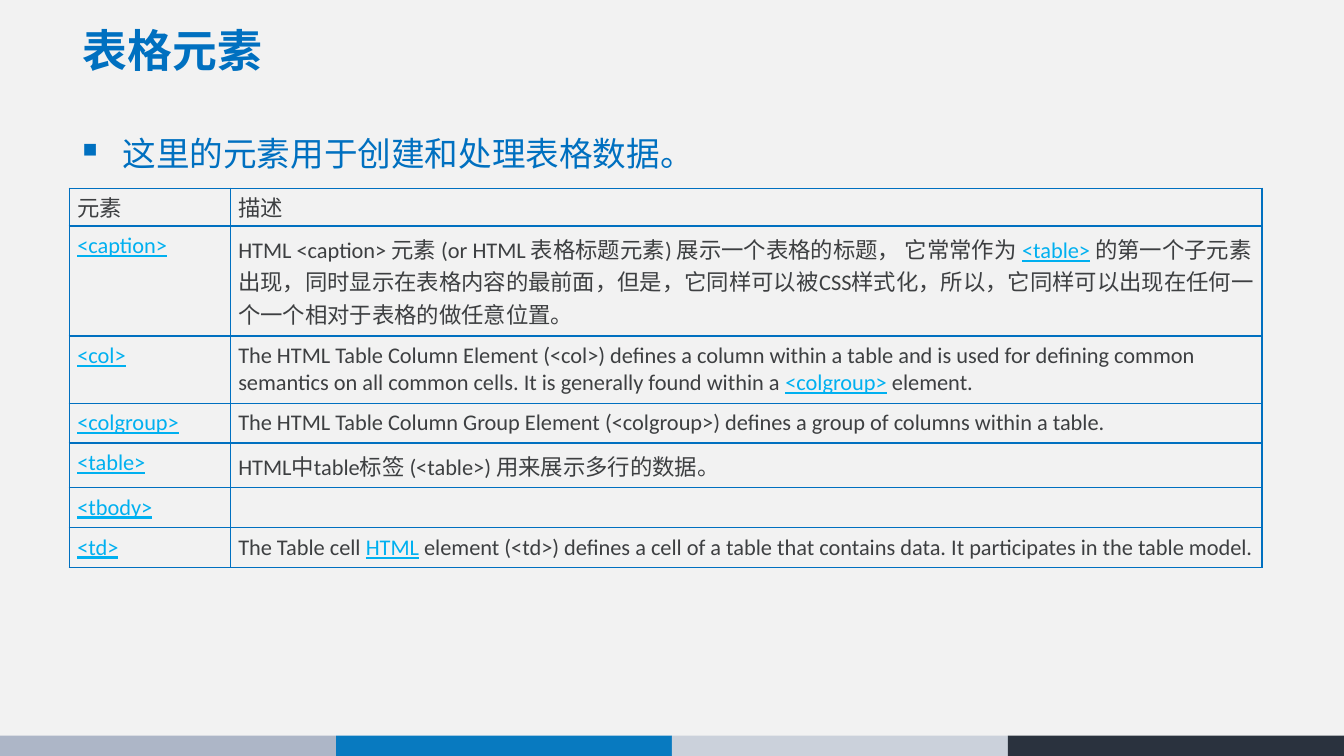
from lxml import etree
from pptx import Presentation
from pptx.dml.color import RGBColor
from pptx.enum.shapes import MSO_SHAPE
from pptx.enum.text import MSO_ANCHOR, PP_ALIGN
from pptx.oxml.ns import qn
from pptx.util import Pt

RECTANGLE = MSO_SHAPE.RECTANGLE
TOP, MIDDLE = MSO_ANCHOR.TOP, MSO_ANCHOR.MIDDLE
JUSTIFY = PP_ALIGN.JUSTIFY

SLIDE_W, SLIDE_H = 960, 540
CJK_FONT, TABLE_FONT = "Noto Sans CJK SC", "Calibri"
BLUE, LINK, INK, PAPER = "0070C0", "00B0F0", "3D3F41", "F2F2F2"
FOOTER_COLOURS = ["ADB6C7", "087AC0", "CBD1DB", "2A323E"]

COLUMN_WIDTHS = [115, 737]
ROW_HEIGHTS = [27, 78.5, 48, 28.5, 32, 28.5, 28.5]
HEADINGS = ["元素", "描述"]
# Each row: element, then description pieces; every second piece is a link
ELEMENTS = [
    ("<caption>", [
        "HTML <caption> 元素 (or HTML 表格标题元素) 展示一个表格的标题， 它常常作为 ",
        "<table>",
        " 的第一个子元素出现，同时显示在表格内容的最前面，但是，它同样可以被CSS样式化，"
        "所以，它同样可以出现在任何一个一个相对于表格的做任意位置。"]),
    ("<col>", [
        "The HTML Table Column Element (<col>) defines a column within a table and is used "
        "for defining common semantics on all common cells. It is generally found within a ",
        "<colgroup>",
        " element."]),
    ("<colgroup>", [
        "The HTML Table Column Group Element (<colgroup>) defines a group of columns "
        "within a table."]),
    ("<table>", ["HTML中table标签 (<table>) 用来展示多行的数据。"]),
    ("<tbody>", []),
    ("<td>", [
        "The Table cell ",
        "HTML",
        " element (<td>) defines a cell of a table that contains data. "
        "It participates in the table model."]),
]


def colour(hex_string):
    return RGBColor.from_string(hex_string)


def add_child(parent, tag, **attributes):
    return etree.SubElement(parent, qn(tag), attributes)


def set_font(paragraph, name, size, hex_string=None, bold=False):
    font = paragraph.font
    font.name, font.size, font.bold = name, Pt(size), bold
    if hex_string:
        font.color.rgb = colour(hex_string)
    add_child(paragraph._p.pPr.find(qn("a:defRPr")), "a:ea", typeface=CJK_FONT)


def add_block(slide, fill, left, top, width, height):
    block = slide.shapes.add_shape(RECTANGLE, Pt(left), Pt(top), Pt(width), Pt(height))
    block.shadow.inherit = False
    block.fill.solid()
    block.fill.fore_color.rgb = colour(fill)
    block.line.fill.background()


def add_backdrop(slide, width, height):
    add_block(slide, PAPER, 0, 0, width, height)
    band_width = width / len(FOOTER_COLOURS)
    for index, fill in enumerate(FOOTER_COLOURS):
        add_block(slide, fill, index * band_width, height - 14.5, band_width, 14.5)


def add_text(slide, text, left, top, width, height, anchor):
    frame = slide.shapes.add_textbox(Pt(left), Pt(top), Pt(width), Pt(height)).text_frame
    frame.word_wrap = True
    frame.vertical_anchor = anchor
    paragraph = frame.paragraphs[0]
    paragraph.text = text
    return paragraph


def add_title(slide, text, left, top, width, height):
    title = add_text(slide, text, left, top, width, height, MIDDLE)
    title.line_spacing = 0.9
    set_font(title, CJK_FONT, 32, BLUE, bold=True)


def add_intro(slide, text, left, top, width, height):
    intro = add_text(slide, text, left, top, width, height, TOP)
    intro.alignment = JUSTIFY
    intro.line_spacing = 1.1
    # Square bullet with a hanging indent
    properties = intro._p.get_or_add_pPr()
    properties.set("marL", str(Pt(28.5)))
    properties.set("indent", str(-Pt(28.5)))
    add_child(add_child(properties, "a:buClr"), "a:srgbClr", val=BLUE)
    add_child(properties, "a:buSzPct", val="60000")
    add_child(properties, "a:buChar", char="■")
    set_font(intro, CJK_FONT, 24, BLUE)


def style_cell(cell, anchor, inset_top, inset_bottom):
    cell.vertical_anchor = anchor
    cell.margin_left = cell.margin_right = Pt(5.75)
    cell.margin_top, cell.margin_bottom = Pt(inset_top), Pt(inset_bottom)
    properties = cell._tc.get_or_add_tcPr()
    for side in ("a:lnL", "a:lnR", "a:lnT", "a:lnB"):
        border = add_child(properties, side, w=str(Pt(1)))
        add_child(add_child(border, "a:solidFill"), "a:srgbClr", val=BLUE)
    cell.fill.background()


def fill_cell(cell, pieces, first_is_link=False):
    paragraph = cell.text_frame.paragraphs[0]
    set_font(paragraph, TABLE_FONT, 16)
    for index, piece in enumerate(pieces):
        is_link = index % 2 == (0 if first_is_link else 1)
        run = paragraph.add_run()
        run.text = piece
        run.font.color.rgb = colour(LINK if is_link else INK)
        run.font.underline = is_link


def add_element_table(slide, left, top):
    table = slide.shapes.add_table(
        len(ROW_HEIGHTS), len(COLUMN_WIDTHS), Pt(left), Pt(top),
        Pt(sum(COLUMN_WIDTHS)), Pt(sum(ROW_HEIGHTS))).table
    table.first_row = table.horz_banding = False
    for column, width in zip(table.columns, COLUMN_WIDTHS):
        column.width = Pt(width)
    for row, height in zip(table.rows, ROW_HEIGHTS):
        row.height = Pt(height)

    for index, heading in enumerate(HEADINGS):
        style_cell(table.cell(0, index), MIDDLE, 1.5, 3)
        fill_cell(table.cell(0, index), [heading])
    for index, (element, description) in enumerate(ELEMENTS, start=1):
        style_cell(table.cell(index, 0), TOP, 4.3, 4.3)
        fill_cell(table.cell(index, 0), [element], first_is_link=True)
        style_cell(table.cell(index, 1), MIDDLE, 4.3, 4.3)
        fill_cell(table.cell(index, 1), description)


def main():
    deck = Presentation()
    deck.slide_width, deck.slide_height = Pt(SLIDE_W), Pt(SLIDE_H)
    slide = deck.slides.add_slide(deck.slide_layouts[6])
    add_backdrop(slide, SLIDE_W, SLIDE_H)
    add_title(slide, "表格元素", 52, 13, 852, 50)
    add_intro(slide, "这里的元素用于创建和处理表格数据。", 52, 88.5, 852, 418)
    add_element_table(slide, 49.5, 134.5)
    deck.save("out.pptx")


if __name__ == "__main__":
    main()
